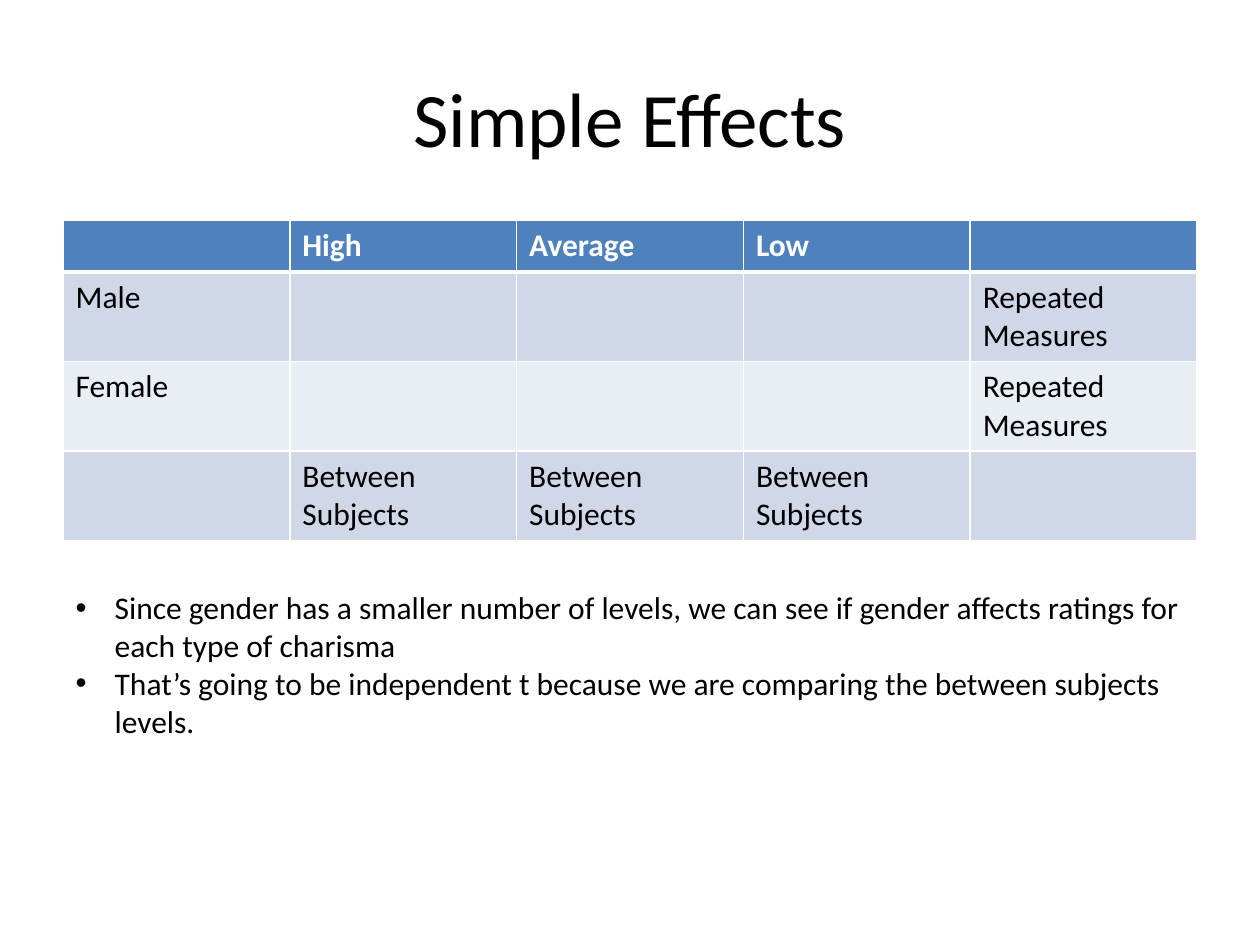
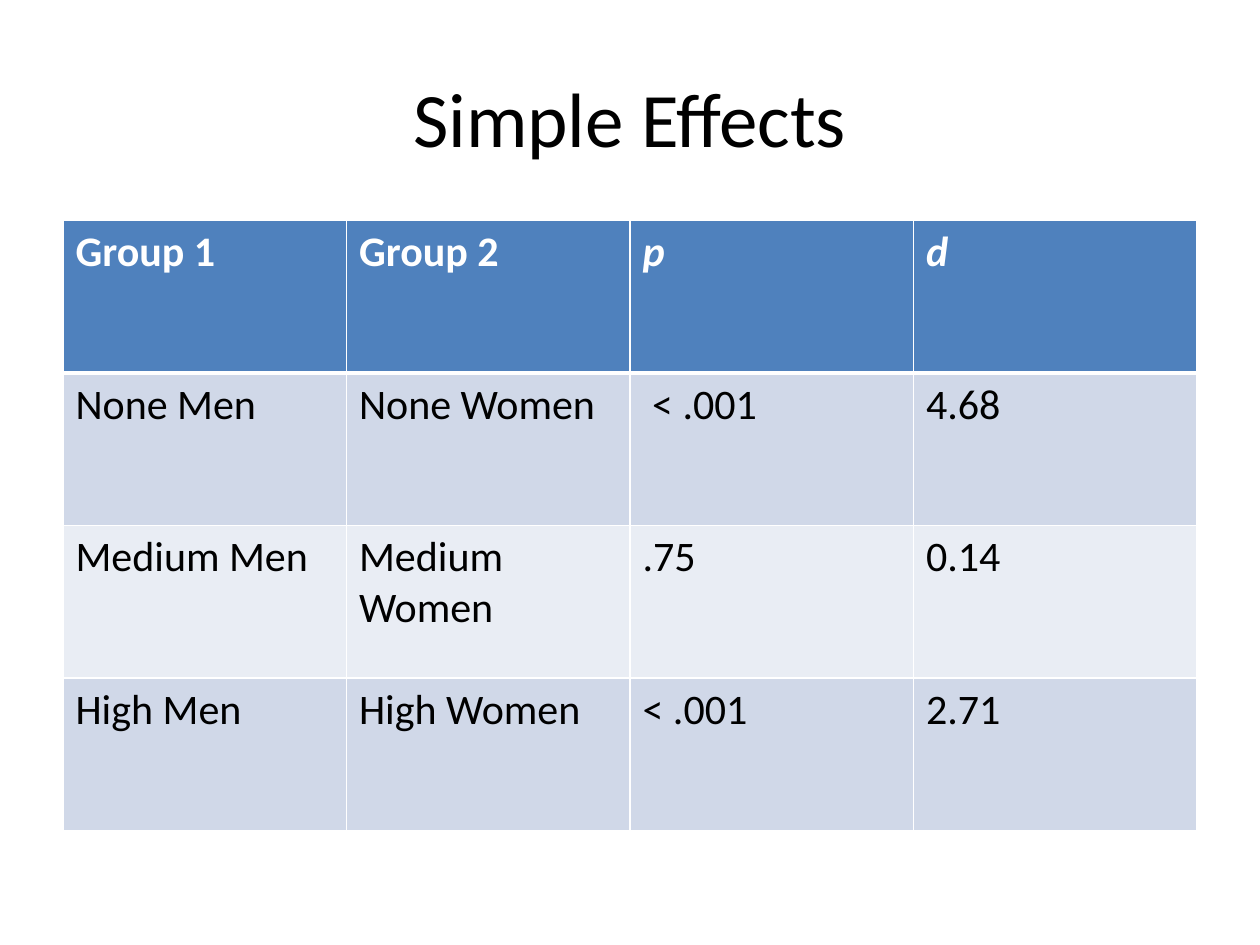
from lxml import etree
from pptx import Presentation
from pptx.dml.color import RGBColor
from pptx.enum.text import MSO_ANCHOR, MSO_AUTO_SIZE, PP_ALIGN
from pptx.oxml.ns import qn
from pptx.util import Inches, Pt

CENTER, LEFT = PP_ALIGN.CENTER, PP_ALIGN.LEFT
MIDDLE, TOP = MSO_ANCHOR.MIDDLE, MSO_ANCHOR.TOP
NO_AUTOFIT = MSO_AUTO_SIZE.NONE

FONT = "Calibri"
BLACK = RGBColor(0x00, 0x00, 0x00)
WHITE = RGBColor(0xFF, 0xFF, 0xFF)
HEADER_BLUE = RGBColor(0x4F, 0x81, 0xBD)
BANDS = (RGBColor(0xD0, 0xD8, 0xE8), RGBColor(0xE9, 0xED, 0xF4))

TITLE_AND_BODY, TITLE_ONLY = 1, 5
MARGIN, CONTENT_WIDTH, TABLE_TOP = 0.5, 9, 1.75
THIN, THICK = 1, 3

SLIDES = [
    {
        "title": "Simple Effects",
        "rows": [
            ["", "High", "Average", "Low", ""],
            ["Male", "", "", "", "Repeated Measures"],
            ["Female", "", "", "", "Repeated Measures"],
            ["", "Between Subjects", "Between Subjects", "Between Subjects", ""],
        ],
        "size": 18,
        "heights": [0.41, 0.7, 0.7, 0.7],
        "italic": (),
        "bullets": [
            "Since gender has a smaller number of levels, we can see if gender "
            "affects ratings for each type of charisma",
            "That’s going to be independent t because we are comparing the "
            "between subjects levels.",
        ],
    },
    {
        "title": "Simple Effects",
        "rows": [
            ["Group 1", "Group 2", "p", "d"],
            ["None Men", "None Women", " < .001", "4.68"],
            ["Medium Men", "Medium Women", ".75", "0.14"],
            ["High Men", "High Women", "< .001", "2.71"],
        ],
        "size": 24,
        "heights": [1.21] * 4,
        "italic": ("p", "d"),
        "bullets": [],
    },
]


def place(box, left, top, width, height):
    """Set a shape's position and size in inches."""
    box.left, box.top = Inches(left), Inches(top)
    box.width, box.height = Inches(width), Inches(height)


def style(para, size, color, align=LEFT, bold=False, italic=False):
    """Format a whole paragraph."""
    para.alignment = align
    font = para.font
    font.name, font.size, font.color.rgb = FONT, Pt(size), color
    font.bold, font.italic = bold, italic


def add_title(page, text):
    """Fill the centred title placeholder."""
    title = page.shapes.title
    place(title, MARGIN, 0.3, CONTENT_WIDTH, 1.25)
    title.text_frame.text = text
    title.text_frame.vertical_anchor = MIDDLE
    style(title.text_frame.paragraphs[0], 44, BLACK, CENTER)


def set_borders(cell, top, bottom):
    """Draw white cell borders; top and bottom are widths in points."""
    properties = cell._tc.get_or_add_tcPr()
    sides = (("a:lnL", THIN), ("a:lnR", THIN), ("a:lnT", top), ("a:lnB", bottom))
    for position, (tag, width) in enumerate(sides):
        line = etree.Element(qn(tag), w=str(Pt(width)))
        fill = etree.SubElement(line, qn("a:solidFill"))
        etree.SubElement(fill, qn("a:srgbClr"), val=str(WHITE))
        properties.insert(position, line)


def add_grid(page, rows, size, heights, italic):
    """Add a table with a blue header row and two alternating bands."""
    columns = len(rows[0])
    table = page.shapes.add_table(
        len(rows), columns, Inches(MARGIN), Inches(TABLE_TOP),
        Inches(CONTENT_WIDTH), Inches(sum(heights))).table
    for column in table.columns:
        column.width = Inches(CONTENT_WIDTH / columns)
    for r, values in enumerate(rows):
        table.rows[r].height = Inches(heights[r])
        header = r == 0
        for c, value in enumerate(values):
            cell = table.cell(r, c)
            cell.text = value
            style(cell.text_frame.paragraphs[0], size,
                  WHITE if header else BLACK,
                  bold=header, italic=header and value in italic)
            cell.fill.solid()
            cell.fill.fore_color.rgb = HEADER_BLUE if header else BANDS[(r - 1) % 2]
            set_borders(cell, THICK if r == 1 else THIN, THICK if header else THIN)


def add_bullets(page, lines):
    """Fill the body placeholder with a bulleted list."""
    body = page.placeholders[1]
    place(body, MARGIN, 4.62, CONTENT_WIDTH, 1.62)
    frame = body.text_frame
    frame.text = "\n".join(lines)
    frame.word_wrap, frame.auto_size, frame.vertical_anchor = True, NO_AUTOFIT, TOP
    indent = Inches(0.31)
    for para in frame.paragraphs:
        style(para, 18, BLACK)
        para.space_before = Pt(0)
        properties = para._p.get_or_add_pPr()
        properties.set("marL", str(indent))
        properties.set("indent", str(-indent))
        bullet = etree.Element(qn("a:buChar"), char="•")
        properties.find(qn("a:defRPr")).addprevious(bullet)


deck = Presentation()
deck.slide_width, deck.slide_height = Inches(10), Inches(7.5)
for content in SLIDES:
    layout = TITLE_AND_BODY if content["bullets"] else TITLE_ONLY
    page = deck.slides.add_slide(deck.slide_layouts[layout])
    add_title(page, content["title"])
    add_grid(page, content["rows"], content["size"], content["heights"],
             content["italic"])
    if content["bullets"]:
        add_bullets(page, content["bullets"])
deck.save("out.pptx")
